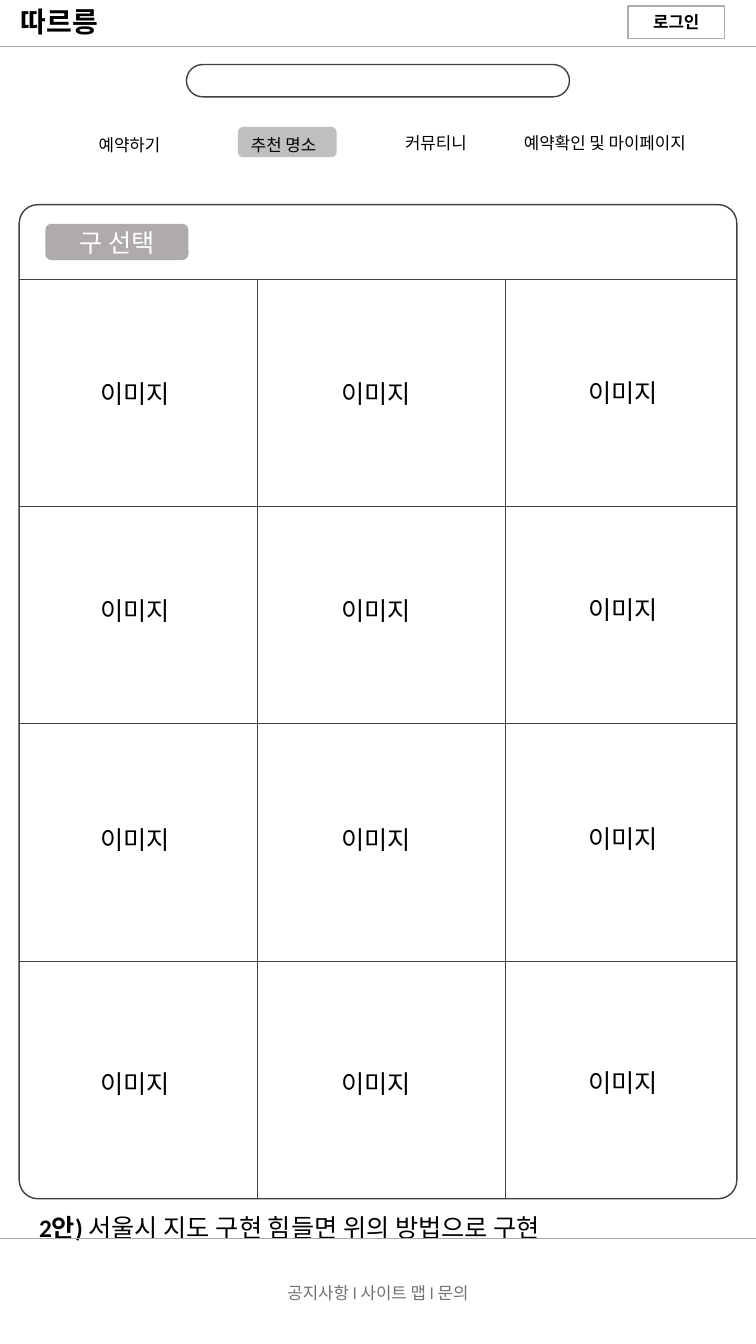
from itertools import product
from lxml.etree import SubElement
from pptx import Presentation
from pptx.dml.color import RGBColor
from pptx.enum.shapes import MSO_CONNECTOR, MSO_SHAPE
from pptx.enum.text import MSO_ANCHOR, PP_ALIGN
from pptx.oxml.ns import qn
from pptx.util import Inches, Pt

BLACK = RGBColor(0x00, 0x00, 0x00)
WHITE = RGBColor(0xFF, 0xFF, 0xFF)
DARK = RGBColor(0x40, 0x40, 0x40)
GRAY = RGBColor(0xAF, 0xAB, 0xAB)
LIGHT = RGBColor(0xBF, 0xBF, 0xBF)
MUTED = RGBColor(0x76, 0x71, 0x71)
FONT = "Calibri"


def write(frame, runs, align=PP_ALIGN.LEFT, color=BLACK):
    """Fill a frame with (text, size, bold) runs."""
    frame.word_wrap = True
    para = frame.paragraphs[0]
    para.alignment = align
    for text, size, bold in runs:
        run = para.add_run()
        run.text = text
        style = {"name": FONT, "size": Pt(size), "bold": bold}
        for key, value in style.items():
            setattr(run.font, key, value)
        run.font.color.rgb = color


def label(slide, box, runs, **style):
    area = slide.shapes.add_textbox(*map(Inches, box))
    write(area.text_frame, runs, **style)


def panel(slide, box, kind=MSO_SHAPE.ROUNDED_RECTANGLE, fill=None,
          line=None, round=None, runs=(), color=BLACK):
    shape = slide.shapes.add_shape(kind, *map(Inches, box))
    shape.shadow.inherit = False
    if round is not None:
        shape.adjustments[0] = round
    if fill is None:
        shape.fill.background()
    else:
        shape.fill.solid()
        shape.fill.fore_color.rgb = fill
    if line is None:
        shape.line.fill.background()
    else:
        shape.line.color.rgb = line
        shape.line.width = Pt(1)
    if runs:
        shape.text_frame.vertical_anchor = MSO_ANCHOR.MIDDLE
        write(shape.text_frame, runs, PP_ALIGN.CENTER, color)


def rule(slide, start, end, color):
    line = slide.shapes.add_connector(
        MSO_CONNECTOR.STRAIGHT, *map(Inches, start + end))
    line.line.color.rgb = color
    line.line.width = Pt(0.5)
    SubElement(line._element.spPr, qn("a:effectLst"))


def header(slide, box):
    left, top, width, height = box
    label(slide, (left + 0.11, top, 2.26, 0.44), [("따르릉", 20, True)])
    panel(slide, (left + width - 1.27, top + 0.06, 0.96, 0.32),
          MSO_SHAPE.RECTANGLE, WHITE, GRAY, runs=[("로그인", 12, True)])
    rule(slide, (left, top + height), (left + width, top + height), GRAY)


def menu(slide, box):
    left, top, width, height = box
    # Search bar
    panel(slide, (left + 1.85, top, 3.8, 0.32), line=DARK, round=0.5)
    # Marked tab, then the tab names
    panel(slide, (left + 2.36, top + 0.62, 0.98, 0.3), fill=LIGHT)
    tabs = [("예약하기", 0.88, 0.65, 0.89), ("추천 명소", 2.39, 0.65, 1.02),
            ("커뮤티니", 3.92, 0.63, 0.89),
            ("예약확인 및 마이페이지", 5.1, 0.63, 2.14)]
    for text, x, y, wide in tabs:
        label(slide, (left + x, top + y, wide, 0.3), [(text, 12, False)])


def gallery(slide, box):
    left, top, width, height = box
    right, base = left + width, top + height
    panel(slide, box, line=DARK, round=0.026)
    panel(slide, (left + 0.26, top + 0.19, 1.42, 0.36), fill=GRAY,
          runs=[("구 선택", 18, False)], color=WHITE)
    # Grid lines
    rows, cols = (0.74, 2.99, 5.14, 7.5), (2.36, 4.82)
    for y in rows:
        rule(slide, (left, top + y), (right, top + y), DARK)
    for x in cols:
        rule(slide, (left + x, top + rows[0]), (left + x, base), DARK)
    # Image cells
    spots = [(0.71, 0), (3.1, 0), (5.55, -0.01)]
    for y, (x, shift) in product((1.67, 3.83, 6.1, 8.52), spots):
        label(slide, (left + x, top + y + shift, 0.97, 0.4),
              [("이미지", 18, False)])


def footer(slide, box):
    left, top, width, height = box
    label(slide, (left + 0.29, top - 0.31, 5.67, 0.4),
          [("2안) ", 18, True),
           ("서울시 지도 구현 힘들면 위의 방법으로 구현", 18, False)])
    rule(slide, (left, top), (left + width, top), GRAY)
    label(slide, (left + (width - 3.16) / 2, top + 0.39, 3.16, 0.3),
          [("공지사항 l 사이트 맵 l 문의", 12, False)],
          align=PP_ALIGN.CENTER, color=MUTED)


deck = Presentation()
deck.slide_width, deck.slide_height = Inches(7.5), Inches(13.33)
page = deck.slides.add_slide(deck.slide_layouts[6])
header(page, (0, 0, 7.5, 0.46))
menu(page, (0, 0.64, 7.5, 0.95))
gallery(page, (0.19, 2.03, 7.12, 9.86))
footer(page, (0, 12.28, 7.5, 1.05))
deck.save("out.pptx")
